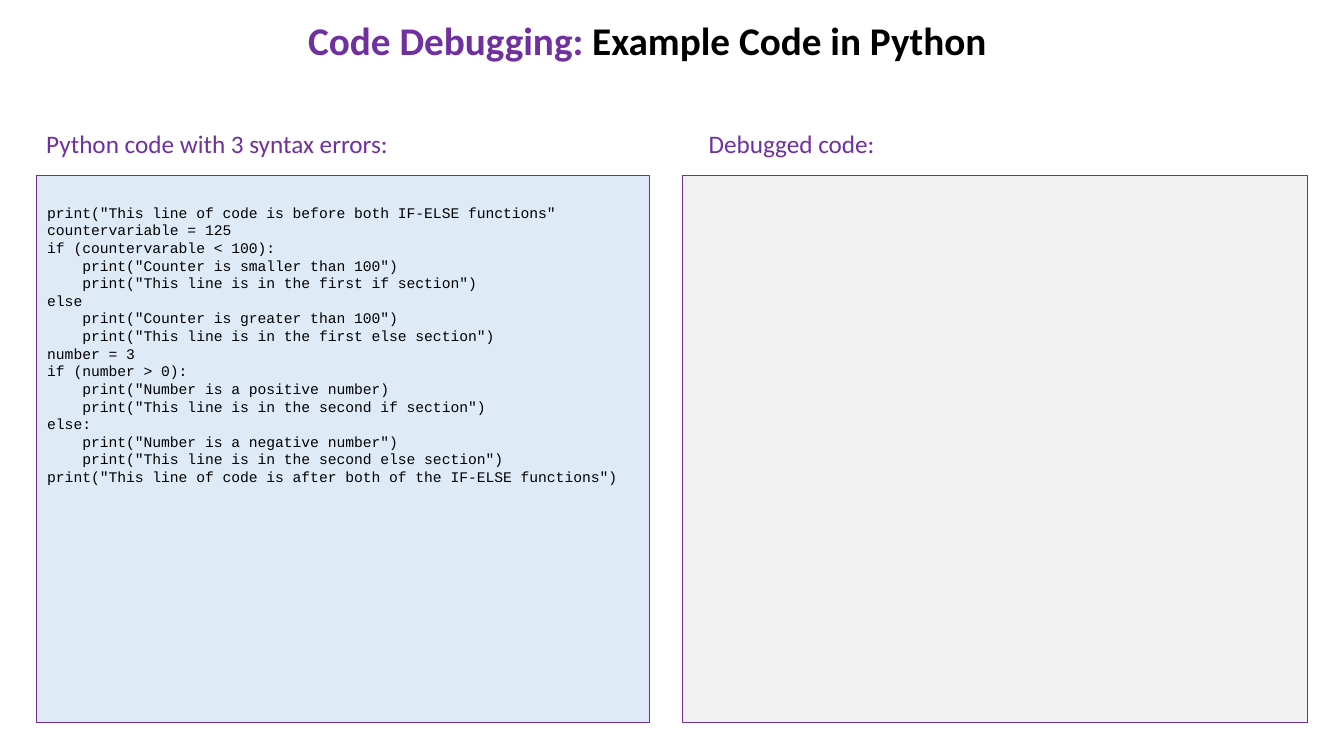
from pptx import Presentation
from pptx.dml.color import RGBColor
from pptx.enum.shapes import MSO_SHAPE as Shape
from pptx.enum.text import MSO_AUTO_SIZE as AutoSize, PP_ALIGN as Align
from pptx.util import Inches, Pt

PURPLE = "7030A0"
BLACK = "000000"
LEFT_PANEL = 0.36
RIGHT_PANEL = 6.77
HEADING_TOP = 1.22
FAULTY_CODE = '''print("This line of code is before both IF-ELSE functions"
countervariable = 125
if (countervarable < 100):
    print("Counter is smaller than 100")
    print("This line is in the first if section")
else
    print("Counter is greater than 100")
    print("This line is in the first else section")
number = 3
if (number > 0):
    print("Number is a positive number)
    print("This line is in the second if section")
else:
    print("Number is a negative number")
    print("This line is in the second else section")
print("This line of code is after both of the IF-ELSE functions")'''


def color(hex_string):
    """Return the colour for a hex string."""
    return RGBColor.from_string(hex_string)


def add_run(paragraph, text, size=18, font="Calibri", fill=PURPLE, bold=False):
    """Append formatted text to a paragraph."""
    run = paragraph.add_run()
    run.text = text
    run.font.size = Pt(size)
    run.font.name = font
    run.font.bold = bold
    run.font.color.rgb = color(fill)


def add_text_box(slide, left, top, width, height):
    """Add a wrapping text box and return its text frame."""
    shape = slide.shapes.add_textbox(
        Inches(left), Inches(top), Inches(width), Inches(height))
    frame = shape.text_frame
    frame.word_wrap = True
    frame.auto_size = AutoSize.SHAPE_TO_FIT_TEXT
    return frame


def add_title(slide, topic, subject):
    """Add the centred two-colour title."""
    paragraph = add_text_box(slide, 0.92, 0.11, 11, 0.57).paragraphs[0]
    paragraph.alignment = Align.CENTER
    add_run(paragraph, topic, size=28, bold=True)
    add_run(paragraph, subject, size=28, fill=BLACK, bold=True)


def add_heading(slide, text, left, width):
    """Add the heading above a code panel."""
    frame = add_text_box(slide, left, HEADING_TOP, width, 0.4)
    add_run(frame.paragraphs[0], text)


def add_panel(slide, left, width, fill):
    """Add a purple-edged panel for code."""
    shape = slide.shapes.add_shape(
        Shape.RECTANGLE, Inches(left), Inches(1.74), Inches(width), Inches(5.43))
    shape.shadow.inherit = False
    shape.fill.solid()
    shape.fill.fore_color.rgb = color(fill)
    shape.line.color.rgb = color(PURPLE)
    shape.line.width = Pt(1)


def add_code(slide, code):
    """Add a code listing with one paragraph per line."""
    frame = add_text_box(slide, 0.37, 1.97, 6.17, 2.93)
    for index, line in enumerate(code.splitlines()):
        paragraph = frame.add_paragraph() if index else frame.paragraphs[0]
        add_run(paragraph, line, size=10.5, font="Courier New", fill=BLACK)


def main():
    """Build and save the code debugging slide."""
    presentation = Presentation()
    presentation.slide_width = Inches(13.33)
    presentation.slide_height = Inches(7.5)
    slide = presentation.slides.add_slide(presentation.slide_layouts[6])
    add_title(slide, "Code Debugging: ", "Example Code in Python")
    add_heading(slide, "Python code with 3 syntax errors:", LEFT_PANEL, 4.19)
    add_heading(slide, "Debugged code:", 6.93, 2.79)
    add_panel(slide, LEFT_PANEL, 6.08, "DEEBF7")
    add_panel(slide, RIGHT_PANEL, 6.2, "F2F2F2")
    add_code(slide, FAULTY_CODE)
    presentation.save("out.pptx")


if __name__ == "__main__":
    main()
